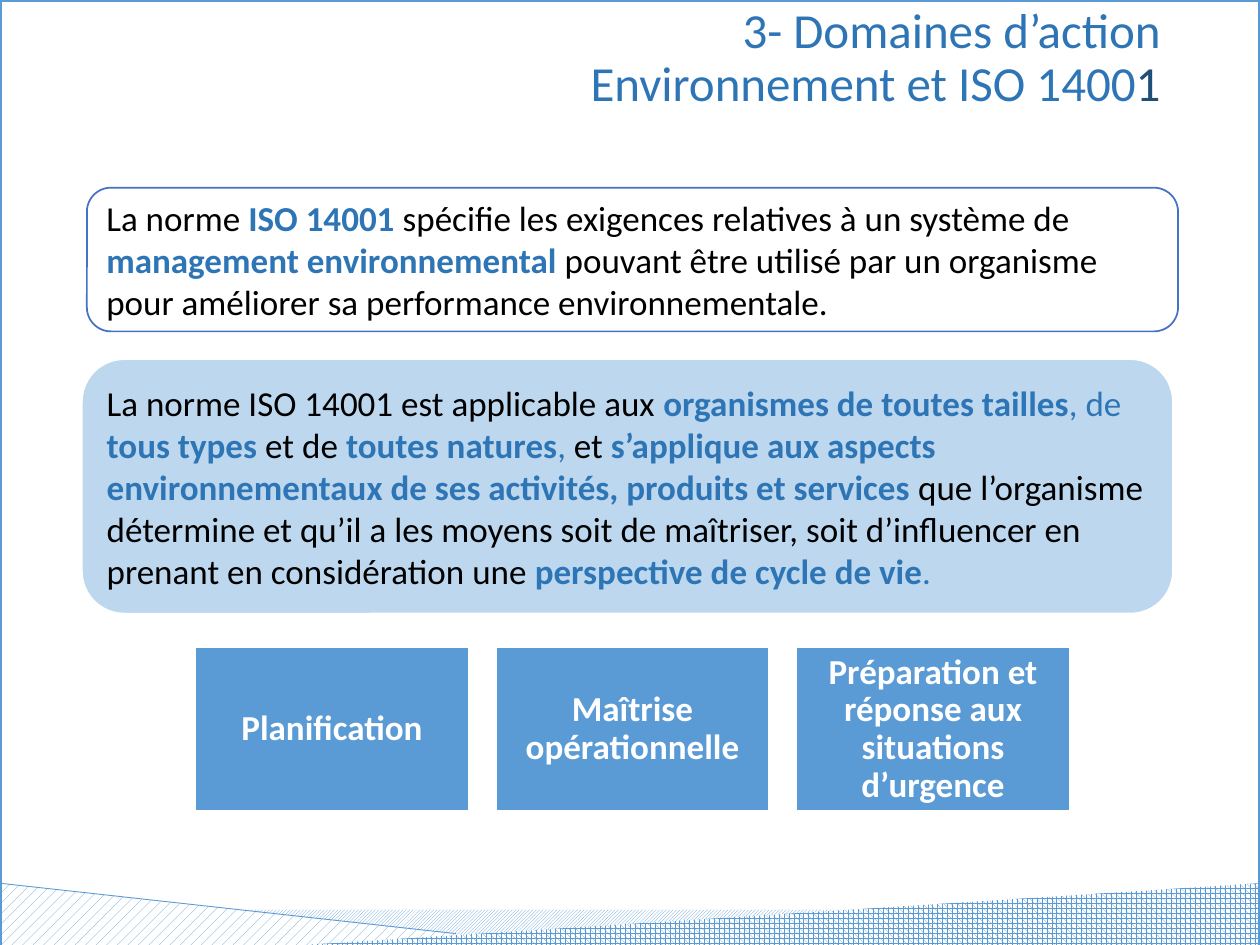
from copy import deepcopy
from pptx import Presentation
from pptx.dml.color import RGBColor as RGB
from pptx.enum.dml import MSO_PATTERN as PAT
from pptx.enum.shapes import MSO_CONNECTOR as LINK, MSO_SHAPE as SHAPE
from pptx.enum.text import MSO_ANCHOR as ANCHOR, PP_ALIGN as ALIGN
from pptx.oxml.ns import qn
from pptx.util import Inches, Pt
from lxml import etree

HUES = {"sky": "5B9BD5", "pale": "BDD7EE", "blue": "2E75B6", "navy": "1F4E79",
        "edge": "4472C4", "white": "FFFFFF", "black": "000000"}
RGBS = {name: RGB.from_string(code) for name, code in HUES.items()}

deck = Presentation()
deck.slide_width, deck.slide_height = Inches(10), Inches(7.5)
slide = deck.slides.add_slide(deck.slide_layouts[5])
shapes = slide.shapes


def paint(shape, fill, line, width=1, pattern=None):
    shape.shadow.inherit = False
    if pattern:
        shape.fill.patterned()
        shape.fill.pattern = pattern
        shape.fill.fore_color.rgb = RGBS[fill]
        shape.fill.back_color.rgb = RGBS["white"]
    elif fill:
        shape.fill.solid()
        shape.fill.fore_color.rgb = RGBS[fill]
    else:
        shape.fill.background()
    if line:
        shape.line.color.rgb = RGBS[line]
        shape.line.width = Pt(width)
    else:
        shape.line.fill.background()


def write(shape, runs, size, align, anchor, space=1.0):
    frame = shape.text_frame
    frame.word_wrap = True
    frame.vertical_anchor = anchor
    para = frame.paragraphs[0]
    para.alignment, para.line_spacing = align, space
    for text, hue, bold in runs:
        if text == "\n":
            para.add_line_break()
            para._p[-1].append(deepcopy(para.runs[-1]._r.rPr))
            continue
        run = para.add_run()
        run.text = text
        look = {"name": "Calibri", "size": Pt(size), "bold": bold}
        for key, value in look.items():
            setattr(run.font, key, value)
        run.font.color.rgb = RGBS[hue]


band = shapes.add_shape(SHAPE.RECTANGLE, Inches(1.3), Inches(7.22), Inches(6.56), Inches(0.32))
paint(band, "sky", None, pattern=PAT.LIGHT_UPWARD_DIAGONAL)

hills = [
    (PAT.PERCENT_20, [(0, 7.01), (4.37, 7.5), (4.28, 7.52), (0, 7.52)]),
    (PAT.SPHERE, [(2.27, 7.51), (9.99, 7.01), (10, 7.52), (2.19, 7.52)]),
]
for pattern, points in hills:
    start, *rest = [(Inches(x), Inches(y)) for x, y in points]
    pen = shapes.build_freeform(*start)
    pen.add_line_segments(rest, close=True)
    paint(pen.convert_to_shape(), "sky", None, pattern=pattern)

slope = shapes.add_connector(LINK.STRAIGHT, Inches(0), Inches(7.01), Inches(3.62), Inches(7.41))
slope.line.color.rgb = RGBS["sky"]
slope.line.width = Pt(0.5)
etree.SubElement(slope._element.spPr, qn("a:effectLst"))

border = shapes.add_shape(SHAPE.RECTANGLE, 0, 0, Inches(10), Inches(7.52))
paint(border, None, "sky", 2.25)

title = shapes.title
title.left, title.top = Inches(0.69), Inches(0)
title.width, title.height = Inches(8.62), Inches(1.14)
heading = [("3- Domaines d’action", "blue", False), ("\n", "blue", False),
           ("Environnement et ISO 1400", "blue", False), ("1", "navy", False)]
write(title, heading, 28, ALIGN.RIGHT, ANCHOR.TOP, 0.9)

scope = [
    ("La norme ", "black", False),
    ("ISO 14001 ", "blue", True),
    ("spécifie les exigences relatives à un système de ", "black", False),
    ("management environnemental", "blue", True),
    (" pouvant être utilisé par un organisme pour améliorer sa performance "
     "environnementale.", "black", False),
]
reach = [
    ("La norme ISO 14001 est applicable aux ", "black", False),
    ("organismes de toutes tailles", "blue", True),
    (", de ", "blue", False),
    ("tous types ", "blue", True),
    ("et de ", "black", False),
    ("toutes natures", "blue", True),
    (", ", "blue", False),
    ("et ", "black", False),
    ("s’applique aux aspects environnementaux de ses activités, produits et services ",
     "blue", True),
    ("que l’organisme détermine et qu’il a les moyens soit de maîtriser, soit "
     "d’influencer en prenant en considération une ", "black", False),
    ("perspective de cycle de vie", "blue", True),
    (".", "blue", False),
]
panels = [(0.69, 1.49, 1.14, None, "edge", scope), (0.65, 2.85, 2.02, "pale", "white", reach)]
for left, top, height, fill, line, runs in panels:
    panel = shapes.add_shape(SHAPE.ROUNDED_RECTANGLE, Inches(left), Inches(top),
                             Inches(8.66), Inches(height))
    paint(panel, fill, line)
    write(panel, runs, 20, ALIGN.LEFT, ANCHOR.MIDDLE)

steps = ["Planification", "Maîtrise opérationnelle",
         "Préparation et réponse aux situations d’urgence"]
wide, gap = 2.17, 0.215
for col, step in enumerate(steps):
    box = shapes.add_shape(SHAPE.RECTANGLE, Inches(1.55 + col * (wide + gap)), Inches(5.14),
                           Inches(wide), Inches(1.3))
    paint(box, "sky", "white")
    write(box, [(step, "white", True)], 20, ALIGN.CENTER, ANCHOR.MIDDLE, 0.9)
    for side in ("left", "top", "right", "bottom"):
        setattr(box.text_frame, "margin_" + side, Inches(0.08))

deck.save("out.pptx")
